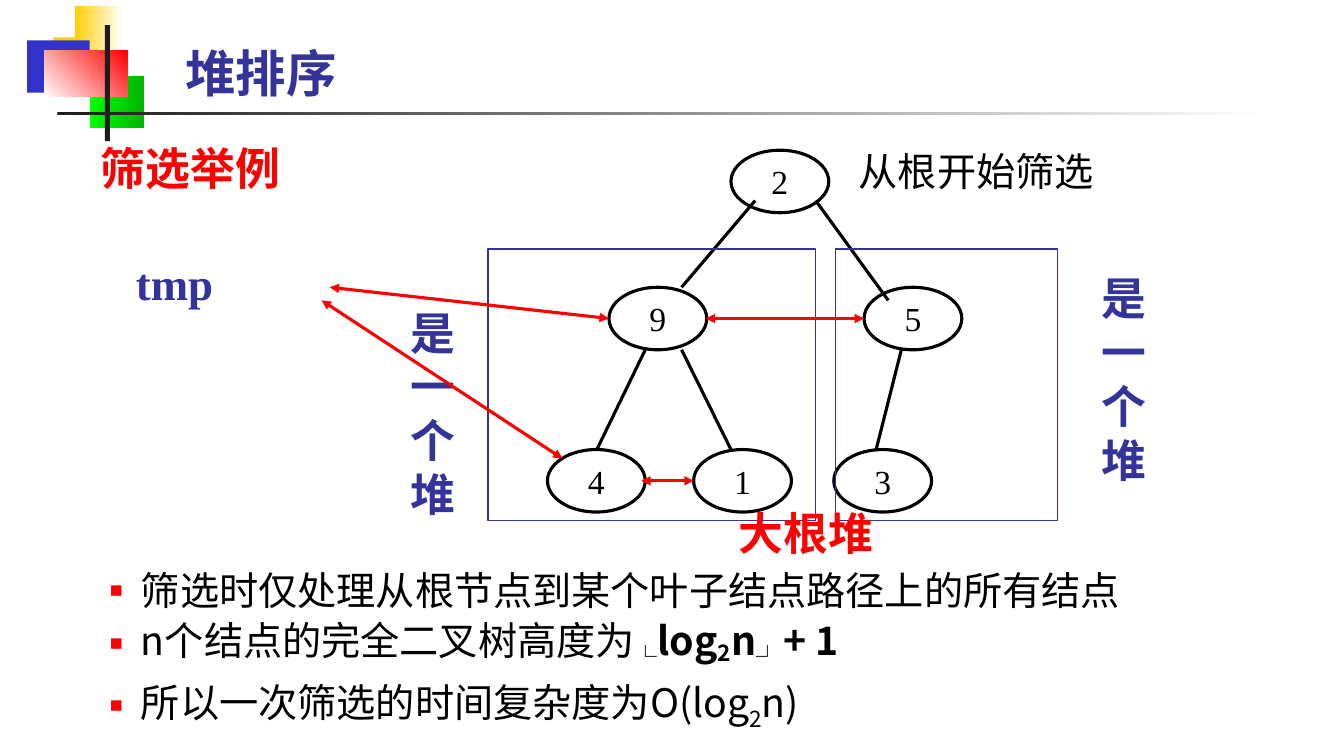
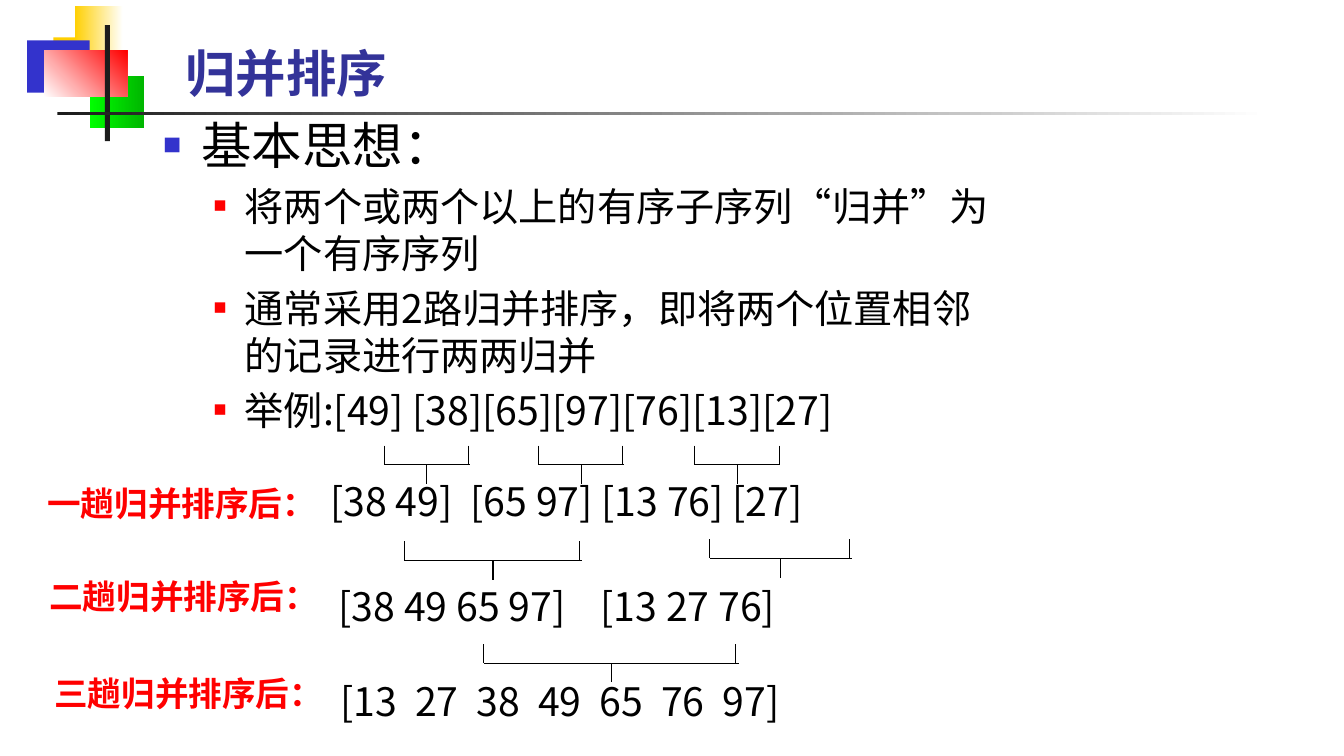
"""Build two lecture slides on heap sort and merge sort."""
import pptx
import pptx.util
import pptx.dml.color
import pptx.enum.shapes
import pptx.enum.text
import pptx.oxml.ns
import lxml.etree

Inches = pptx.util.Inches
Pt = pptx.util.Pt
RGBColor = pptx.dml.color.RGBColor
SHAPE = pptx.enum.shapes.MSO_SHAPE
ALIGN = pptx.enum.text.PP_ALIGN
ANCHOR = pptx.enum.text.MSO_ANCHOR
qn = pptx.oxml.ns.qn

BLACK = RGBColor(0x00, 0x00, 0x00)
WHITE = RGBColor(0xFF, 0xFF, 0xFF)
RED = RGBColor(0xFF, 0x00, 0x00)
NAVY = RGBColor(0x33, 0x33, 0x99)
BLUE = RGBColor(0x33, 0x33, 0xCC)
GOLD = RGBColor(0xFF, 0xCF, 0x01)
LIME = RGBColor(0x00, 0xFF, 0x00)
GREEN = RGBColor(0x00, 0xB6, 0x00)
CHARCOAL = RGBColor(0x1C, 0x1C, 0x1C)

SANS = "Noto Sans CJK SC"
SERIF = "Times New Roman"
TITLE_FONT = "Arial Narrow"
LINE_HEIGHT = 1.2
NODE_WIDTH, NODE_HEIGHT = 0.97, 0.62
TICK = 0.19

MOTIF = [
    (0.53, 0.37, 0.64, 0.52, [GOLD], 0),
    (0.74, 0.06, 0.48, 0.52, [GOLD, WHITE], 0),
    (0.27, 0.4, 0.62, 0.52, [BLUE], 0),
    (0.89, 0.75, 0.54, 0.52, [LIME, GREEN], 0),
    (0.44, 0.5, 0.82, 0.46, [WHITE, RED], 45),
    (1.04, 0.25, 0.05, 1.15, [CHARCOAL], 0),
    (0.57, 1.11, 12, 0.03, [CHARCOAL, WHITE], 0),
]


def add_outline(slide, kind, at, color, weight):
    """Add an unfilled preset shape with a coloured outline."""
    outline = slide.shapes.add_shape(kind, *map(Inches, at))
    outline.shadow.inherit = False
    outline.fill.background()
    outline.line.color.rgb = color
    outline.line.width = Pt(weight)
    return outline


def add_block(slide, at, colors, angle):
    """Add a borderless rectangle with a solid or gradient fill."""
    block = slide.shapes.add_shape(SHAPE.RECTANGLE, *map(Inches, at))
    block.shadow.inherit = False
    block.line.fill.background()
    if len(colors) == 1:
        block.fill.solid()
        block.fill.fore_color.rgb = colors[0]
        return
    block.fill.gradient()
    block.fill.gradient_angle = angle
    for stop, color in zip(block.fill.gradient_stops, colors):
        stop.color.rgb = color


def add_line(slide, start, end, color=BLACK, weight=2.25, arrows=False):
    """Add a straight line, with arrowheads at both ends on request."""
    line = slide.shapes.add_connector(
        pptx.enum.shapes.MSO_CONNECTOR.STRAIGHT, *map(Inches, start + end))
    line.line.color.rgb = color
    line.line.width = Pt(weight)
    if arrows:
        outline = line.line._get_or_add_ln()
        for tip in ("a:headEnd", "a:tailEnd"):
            lxml.etree.SubElement(outline, qn(tip), type="triangle")
    lxml.etree.SubElement(line._element.spPr, qn("a:effectLst"))


def set_bullet(paragraph, level):
    """Give a paragraph the square bullet of its outline level."""
    margin, hang, color, percent = [
        (0.38, 0.38, BLUE, 60), (0.81, 0.31, RED, 55)][level]
    paragraph.level = level
    props = paragraph._p.get_or_add_pPr()
    props.set("marL", str(Inches(margin)))
    props.set("indent", str(-Inches(hang)))
    tint = lxml.etree.SubElement(props, qn("a:buClr"))
    lxml.etree.SubElement(tint, qn("a:srgbClr"), val=str(color))
    lxml.etree.SubElement(props, qn("a:buSzPct"), val=str(percent * 1000))
    lxml.etree.SubElement(props, qn("a:buFont"), typeface=SERIF)
    lxml.etree.SubElement(props, qn("a:buChar"), char="■")


def set_tabs(paragraph, stops):
    """Give a paragraph left tab stops, in inches."""
    tabs = lxml.etree.SubElement(paragraph._p.get_or_add_pPr(), qn("a:tabLst"))
    for stop in stops:
        lxml.etree.SubElement(tabs, qn("a:tab"), pos=str(Inches(stop)), algn="l")


def write_paragraph(paragraph, content, size=28, color=BLACK, font=SANS,
                    bold=False, align=ALIGN.LEFT, level=None, before=0, tabs=()):
    """Write text, or (text, baseline, bold) runs, with one format."""
    if level is not None:
        set_bullet(paragraph, level)
    if tabs:
        set_tabs(paragraph, tabs)
    paragraph.alignment = align
    paragraph.line_spacing = Pt(size * LINE_HEIGHT)
    paragraph.space_before = Pt(before)
    runs = [(content, 0, bold)] if isinstance(content, str) else content
    for text, baseline, strong in runs:
        run = paragraph.add_run()
        run.text = text
        run.font.size = Pt(size)
        run.font.bold = strong
        run.font.color.rgb = color
        run.font.name = font
        props = run._r.get_or_add_rPr()
        lxml.etree.SubElement(props, qn("a:ea"), typeface=SANS)
        if baseline:
            props.set("baseline", str(baseline * 1000))


def add_text(slide, at, *lines, wrap=False, **style):
    """Add a text box; a line may be a (content, own style) pair."""
    frame = slide.shapes.add_textbox(*map(Inches, at)).text_frame
    frame.word_wrap = wrap
    for index, line in enumerate(lines):
        paragraph = frame.add_paragraph() if index else frame.paragraphs[0]
        content, own = line if isinstance(line, tuple) else (line, {})
        write_paragraph(paragraph, content, **{**style, **own})


def add_node(slide, left, top, value):
    """Add a tree node with its value."""
    node = add_outline(slide, SHAPE.OVAL, (left, top, NODE_WIDTH, NODE_HEIGHT),
                       BLACK, 2.25)
    node.text_frame.word_wrap = False
    node.text_frame.vertical_anchor = ANCHOR.MIDDLE
    write_paragraph(node.text_frame.paragraphs[0], value, size=24, font=SERIF,
                    align=ALIGN.CENTER)


def add_bracket(slide, left, top, width):
    """Add a merge bracket with a stem below its middle."""
    bar = top + TICK
    right, middle = left + width * 0.985, left + width / 2
    for start, end in [((left, top), (left, bar)),
                       ((left, bar), (left + width, bar)),
                       ((right, top), (right, bar)),
                       ((middle, bar), (middle, bar + TICK))]:
        add_line(slide, start, end, weight=0.75)


def start_slide(deck, title):
    """Add a slide with the shared motif and title."""
    slide = deck.slides.add_slide(deck.slide_layouts[6])
    for *at, colors, angle in MOTIF:
        add_block(slide, at, colors, angle)
    add_text(slide, (1.74, 0.37, 3.69, 0.71), title, wrap=True, size=36,
             color=NAVY, font=TITLE_FONT, bold=True)
    return slide


def build_heap_slide(deck):
    """Build the heap sifting example."""
    slide = start_slide(deck, "堆排序")
    for left, top, value in [(7.25, 1.49, "2"), (6.04, 2.85, "9"),
                             (8.57, 2.85, "5"), (5.43, 4.46, "4"),
                             (6.88, 4.46, "1"), (8.27, 4.46, "3")]:
        add_node(slide, left, top, value)
    for start, end in [((7.49, 1.99), (6.76, 2.85)), ((8.09, 1.99), (8.81, 2.98)),
                       ((6.4, 3.47), (5.92, 4.46)), ((6.76, 3.47), (7.25, 4.46)),
                       ((8.94, 3.47), (8.69, 4.46))]:
        add_line(slide, start, end)

    label = {"size": 32, "font": SERIF, "bold": True}
    add_text(slide, (1.25, 2.49, 0.97, 0.64), "tmp", color=NAVY, **label)
    add_text(slide, (0.9, 1.35, 2, 0.64), "筛选举例", color=RED, **label)
    for left, width, label_left, label_top in [(4.84, 3.25, 3.97, 2.98),
                                               (8.29, 2.2, 10.83, 2.64)]:
        add_outline(slide, SHAPE.RECTANGLE, (left, 2.47, width, 2.69), NAVY, 0.75)
        add_text(slide, (label_left, label_top, 0.65, 2.26), *"是一个堆",
                 color=NAVY, **label)
    add_text(slide, (8.42, 1.41, 2.56, 0.57), "从根开始筛选")
    add_text(slide, (7.23, 4.97, 1.55, 0.64), "大根堆", color=RED, **label)

    height = [("n个结点的完全二叉树高度为", 0, False), ("└", -25, True),
              ("log", 0, True), ("2", -14, True), ("n", 0, True),
              ("┘ ", -25, True), ("+ 1", 0, True)]
    cost = [("所以一次筛选的时间复杂度为O(log", 0, False), ("2", -25, False),
            ("n)", 0, False)]
    add_text(slide, (0.49, 5.57, 11.35, 1.65),
             "筛选时仅处理从根节点到某个叶子结点路径上的所有结点",
             (height, {"before": 7}), (cost, {"before": 10.5}),
             wrap=True, level=1)
    for start, end in [((7, 3.16), (8.57, 3.16)), ((6.36, 4.77), (6.88, 4.77)),
                       ((3.19, 2.98), (5.58, 4.55)), ((3.27, 2.85), (6.04, 3.16))]:
        add_line(slide, start, end, color=RED, arrows=True)


def build_merge_slide(deck):
    """Build the merge sort idea and its three passes."""
    slide = start_slide(deck, "归并排序")
    add_text(slide, (1.52, 1.08, 8.5, 3.35),
             ("基本思想：", {"size": 36, "level": 0, "before": 0}),
             "将两个或两个以上的有序子序列“归并”为一个有序序列",
             "通常采用2路归并排序，即将两个位置相邻的记录进行两两归并",
             "举例:[49] [38][65][97][76][13][27]",
             wrap=True, level=1, before=5.6)
    for left, top, width in [(3.81, 4.42, 0.85), (5.34, 4.42, 0.85),
                             (6.89, 4.42, 0.85), (4.01, 5.37, 1.76),
                             (7.04, 5.35, 1.41), (4.8, 6.39, 2.53)]:
        add_bracket(slide, left, top, width)
    value_stops = [0.74 + 0.61 * step for step in range(6)]
    passes = [
        ("一趟归并排序后：", 0.37, 4.74,
         "[38 49]\t[65 97] [13 76] [27]", 3.18, 4.69, [1.39]),
        ("二趟归并排序后：", 0.39, 5.66,
         "[38 49 65 97]\t[13 27 76]", 3.26, 5.73, [2.6]),
        ("三趟归并排序后：", 0.44, 6.63,
         "[13\t27\t38\t49\t65\t76\t97]", 3.28, 6.67, value_stops),
    ]
    for name, name_left, name_top, values, left, top, stops in passes:
        add_text(slide, (name_left, name_top, 2.89, 0.5), name, size=24,
                 color=RED, bold=True)
        add_text(slide, (left, top, 5.9, 0.57), values, wrap=True, tabs=stops)


def main():
    """Build and save the deck."""
    deck = pptx.Presentation()
    deck.slide_width, deck.slide_height = Inches(13.33), Inches(7.5)
    build_heap_slide(deck)
    build_merge_slide(deck)
    deck.save("out.pptx")


if __name__ == "__main__":
    main()
